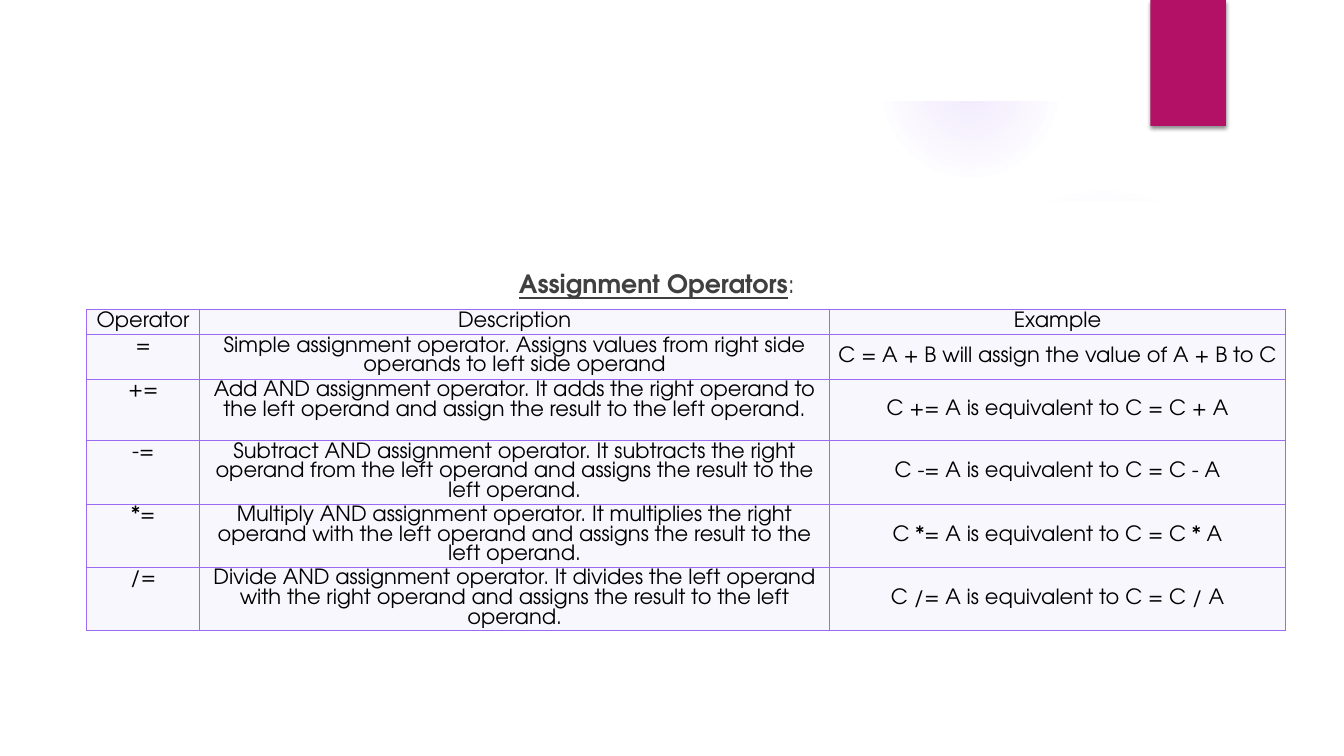
"""Build a slide with a table of assignment operators."""
from pptx import Presentation
from pptx.dml.color import RGBColor
from pptx.enum.shapes import MSO_SHAPE
from pptx.enum.text import MSO_ANCHOR, PP_ALIGN
from pptx.oxml import parse_xml
from pptx.oxml.ns import nsdecls
from pptx.util import Inches, Pt

COLORS = {"white": "FFFFFF", "violet": "9B6BF2", "magenta": "B31166",
          "title": "404040", "text": "000000", "cell": "F8F7FD"}
FONT = "TeX Gyre Adventor"
GRID_COLUMNS, GRID_ROWS = 13.33, 7.5
UNIT = Inches(1)

COLUMN_WIDTHS = [1.12, 6.25, 4.52]
ROW_HEIGHTS = [0.25, 0.44, 0.61, 0.63, 0.63, 0.63]
OPERATORS = [
    ("Operator", "Description", "Example"),
    ("=", "Simple assignment operator. Assigns values from right side operands "
     "to left side operand", "C = A + B will assign the value of A + B to C"),
    ("+=", "Add AND assignment operator. It adds the right operand to the left "
     "operand and assign the result to the left operand.",
     "C += A is equivalent to C = C + A"),
    ("-=", "Subtract AND assignment operator. It subtracts the right operand from "
     "the left operand and assigns the result to the left operand.",
     "C -= A is equivalent to C = C - A"),
    ("*=", "Multiply AND assignment operator. It multiplies the right operand with "
     "the left operand and assigns the result to the left operand.",
     "C *= A is equivalent to C = C * A"),
    ("/=", "Divide AND assignment operator. It divides the left operand with the "
     "right operand and assigns the result to the left operand.",
     "C /= A is equivalent to C = C / A"),
]

RIBBON = [(9.34, 2.5), (10.4, 2.46), (11.6, 2.34), (12.89, 2.14), (12.83, 1.66),
          (12.25, 1.85), (11.67, 2), (11.09, 2.14), (10.53, 2.25), (9.89, 2.35),
          (9.3, 2.43)]
PANEL = [(0.5, 2.04), (0.5, 7), (12.84, 7), (12.84, 2.04), (12, 2.17), (11.16, 2.27),
         (10.32, 2.35), (9.49, 2.41), (8.67, 2.45), (7.86, 2.47), (7.08, 2.48),
         (6.32, 2.47), (5.59, 2.46), (4.88, 2.43), (4.01, 2.38), (3.21, 2.33),
         (2.49, 2.27), (1.87, 2.21), (1.35, 2.15), (0.94, 2.1)]


def grid(*lengths):
    """Turn grid columns or rows into slide lengths."""
    return [round(length * UNIT) for length in lengths]


def rectangle_points(left, top, right, bottom):
    """Return the corners of a rectangle."""
    return [(left, top), (left, bottom), (right, bottom), (right, top)]


def paint(shape, color):
    """Give a shape a plain fill without line or shadow."""
    shape.shadow.inherit = False
    shape.line.fill.background()
    shape.fill.solid()
    shape.fill.fore_color.rgb = RGBColor.from_string(COLORS[color])


def add_glow(page, left, top, size, stops):
    """Add a round glow that fades out from its centre."""
    glow = page.shapes.add_shape(MSO_SHAPE.OVAL, *grid(left, top, size, size))
    paint(glow, "violet")
    marks = "".join(
        f'<a:gs pos="{place * 1000}"><a:srgbClr val="{COLORS["violet"]}">'
        f'<a:alpha val="{alpha * 1000}"/></a:srgbClr></a:gs>'
        for place, alpha in stops)
    gradient = parse_xml(
        f'<a:gradFill {nsdecls("a")} rotWithShape="1"><a:gsLst>{marks}</a:gsLst>'
        '<a:path path="circle"><a:fillToRect l="50000" t="50000" r="50000" '
        'b="50000"/></a:path></a:gradFill>')
    properties = glow.element.spPr
    properties.replace(properties.find("{*}solidFill"), gradient)


def add_outline(page, *contours, rotation=0, opacity=100):
    """Add a white outline; a second contour cuts a hole."""
    builder = page.shapes.build_freeform(*contours[0][0], scale=UNIT)
    builder.add_line_segments(contours[0][1:])
    for contour in contours[1:]:
        builder.move_to(*contour[0])
        builder.add_line_segments(contour[1:])
    outline = builder.convert_to_shape()
    paint(outline, "white")
    outline.rotation = rotation
    if opacity < 100:
        color = outline.element.spPr.find("{*}solidFill")[0]
        color.append(parse_xml(f'<a:alpha {nsdecls("a")} val="{opacity * 1000}"/>'))


def add_tab(page, left, top, width, height):
    """Add the coloured tab with its soft shadow."""
    tab = page.shapes.add_shape(MSO_SHAPE.RECTANGLE, *grid(left, top, width, height))
    paint(tab, "magenta")
    tab.element.spPr.find("{*}effectLst").append(parse_xml(
        f'<a:outerShdw {nsdecls("a")} blurRad="{Pt(3)}" dist="{Pt(2)}" dir="5400000" '
        'rotWithShape="0"><a:srgbClr val="000000"><a:alpha val="45000"/>'
        '</a:srgbClr></a:outerShdw>'))


def add_span(para, text, size=15, color="text", bold=False, underline=False):
    """Add formatted text to a centred paragraph."""
    para.alignment = PP_ALIGN.CENTER
    span = para.add_run()
    span.text = text
    span.font.name, span.font.size = FONT, Pt(size)
    span.font.bold, span.font.underline = bold, underline
    span.font.color.rgb = RGBColor.from_string(COLORS[color])


def add_title(page, left, top, width, height):
    """Add the heading above the table."""
    box = page.shapes.add_textbox(*grid(left, top, width, height))
    box.text_frame.word_wrap = True
    para = box.text_frame.paragraphs[0]
    add_span(para, "Assignment Operators", size=18, color="title",
             bold=True, underline=True)
    add_span(para, ":", size=18, color="title")


def format_cell(cell, text, anchor):
    """Fill one table cell with text, tint and borders."""
    cell.margin_left = cell.margin_right = Inches(0.02)
    cell.margin_top = cell.margin_bottom = Inches(0.02)
    cell.vertical_anchor = anchor
    cell.fill.solid()
    cell.fill.fore_color.rgb = RGBColor.from_string(COLORS["cell"])
    properties = cell._tc.get_or_add_tcPr()
    for index, side in enumerate("LRTB"):
        properties.insert(index, parse_xml(
            f'<a:ln{side} {nsdecls("a")} w="{Pt(0.75)}"><a:solidFill>'
            f'<a:srgbClr val="{COLORS["violet"]}"/></a:solidFill></a:ln{side}>'))
    para = cell.text_frame.paragraphs[0]
    para.line_spacing = Pt(14)
    add_span(para, text)


def add_operator_table(page, left, top):
    """Add the table of operators."""
    frame = page.shapes.add_table(
        len(OPERATORS), len(COLUMN_WIDTHS),
        *grid(left, top, sum(COLUMN_WIDTHS), sum(ROW_HEIGHTS)))
    table = frame.table
    table.first_row = table.horz_banding = False
    for column, width in zip(table.columns, grid(*COLUMN_WIDTHS)):
        column.width = width
    for row, height in zip(table.rows, grid(*ROW_HEIGHTS)):
        row.height = height
    for row_index, texts in enumerate(OPERATORS):
        for column_index, text in enumerate(texts):
            is_example = row_index > 0 and column_index == 2
            anchor = MSO_ANCHOR.MIDDLE if is_example else MSO_ANCHOR.TOP
            format_cell(table.cell(row_index, column_index), text, anchor)


def main():
    """Build and save the deck."""
    deck = Presentation()
    deck.slide_width, deck.slide_height = grid(GRID_COLUMNS, GRID_ROWS)
    page = deck.slides.add_slide(deck.slide_layouts[6])
    add_glow(page, 9.41, 1.83, 3.08, [(0, 7), (36, 6), (69, 0)])
    add_glow(page, 8.75, 0.01, 1.75, [(0, 14), (36, 7), (73, 0)])
    add_outline(page, RIBBON, rotation=350.2, opacity=20)
    add_outline(page, PANEL)
    add_outline(page, rectangle_points(0, 0, GRID_COLUMNS, GRID_ROWS),
                rectangle_points(0.52, 0.52, 12.81, 6.98)[::-1])
    add_tab(page, 11.41, 0, 0.75, 1.25)
    add_title(page, 0.74, 2.61, 11.55, 0.42)
    add_operator_table(page, 0.86, 3.07)
    deck.save("out.pptx")


if __name__ == "__main__":
    main()
